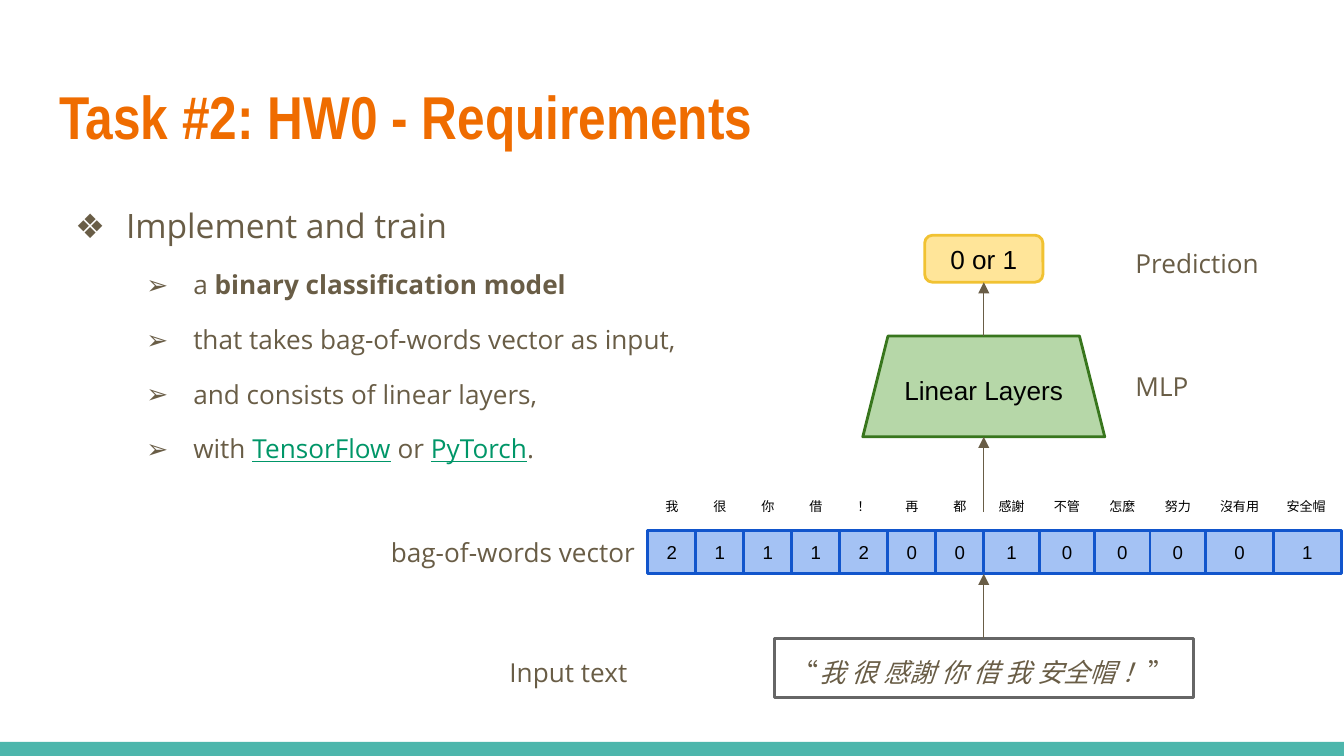
from lxml import etree
from pptx import Presentation
from pptx.dml.color import RGBColor
from pptx.enum.shapes import MSO_CONNECTOR, MSO_SHAPE
from pptx.enum.text import MSO_ANCHOR, MSO_AUTO_SIZE, PP_ALIGN
from pptx.oxml.ns import qn
from pptx.util import Inches, Pt

RECT, ROUND = MSO_SHAPE.RECTANGLE, MSO_SHAPE.ROUNDED_RECTANGLE
TRAPEZOID = MSO_SHAPE.TRAPEZOID
STRAIGHT = MSO_CONNECTOR.STRAIGHT
LEFT, CENTER = PP_ALIGN.LEFT, PP_ALIGN.CENTER
TOP, MIDDLE = MSO_ANCHOR.TOP, MSO_ANCHOR.MIDDLE
FIXED, GROW = MSO_AUTO_SIZE.NONE, MSO_AUTO_SIZE.SHAPE_TO_FIT_TEXT
BROWN, BLACK, ORANGE, GREEN = "695D46", "000000", "EF6C00", "009668"
SANS, ARIAL = "Open Sans", "Arial"
rgb = RGBColor.from_string


def write(par, text, size, font=SANS, color=BROWN, align=LEFT, spacing=1.15):
    """Add one run to a paragraph and return its font for extra styling."""
    par.alignment, par.line_spacing = align, spacing
    run = par.add_run()
    run.text = text
    run.font.size, run.font.name = Pt(size), font
    run.font.color.rgb = rgb(color)
    return run.font


def place(home, spot, kind=None, fill=None, line=None, anchor=TOP, fit=FIXED):
    """Add a shape, or a text box when no kind is given."""
    spot = [Inches(n) for n in spot]
    if kind is None:
        shape = home.add_textbox(*spot)
    else:
        shape = home.add_shape(kind, *spot)
        shape.shadow.inherit = False
        if fill:
            shape.fill.solid()
            shape.fill.fore_color.rgb = rgb(fill)
        else:
            shape.fill.background()
        if line:
            shape.line.color.rgb = rgb(line)
            shape.line.width = Pt(1.5)
        else:
            shape.line.fill.background()
    frame = shape.text_frame
    frame.word_wrap, frame.auto_size = True, fit
    frame.vertical_anchor = anchor
    frame.margin_left = frame.margin_right = Inches(0.1)
    frame.margin_top = frame.margin_bottom = Inches(0.1)
    return shape


deck = Presentation()
deck.slide_width = Inches(10)
deck.slide_height = deck.slide_width * 9 // 16
slide = deck.slides.add_slide(deck.slide_layouts[5])
shapes = slide.shapes

# Footer bar and title
place(shapes, (0, 5.52, 10, 0.11), RECT, "4DB6AC")
title = shapes.title
title.left, title.top = Inches(0.34), Inches(0.49)
title.width, title.height = Inches(9.32), Inches(0.77)
frame = title.text_frame
frame.auto_size, frame.vertical_anchor = FIXED, TOP
frame.margin_top = frame.margin_bottom = Inches(0.1)
frame.margin_left = frame.margin_right = Inches(0.1)
write(frame.paragraphs[0], "Task #2: HW0 - Requirements", 32.4,
      "Arial Narrow", ORANGE, spacing=1).bold = True

# Requirements: each run is text and style
points = [
    [("Implement and train", "")],
    [("a ", ""), ("binary classification model", "bold")],
    [("that takes bag-of-words vector as input,", "")],
    [("and consists of linear layers,", "")],
    [("with ", ""), ("TensorFlow", "link"), (" or ", ""),
     ("PyTorch", "link"), (".", "")],
]
body = place(shapes, (0.34, 1.38, 4.8, 3.61)).text_frame
for row, runs in enumerate(points):
    par = body.add_paragraph() if row else body.paragraphs[0]
    size, mark, margin, indent = (14, "➢", 1, -0.35) if row else (18, "❖", 0.5, -0.38)
    par.level = 1 if row else 0
    par.space_before = Pt(10 if row else 0)
    for text, style in runs:
        font = write(par, text, size, color=GREEN if style == "link" else BROWN)
        font.bold = style == "bold"
        font.underline = style == "link"
    props = par._p.get_or_add_pPr()
    props.set("marL", str(Inches(margin)))
    props.set("indent", str(Inches(indent)))
    tint = etree.SubElement(props, qn("a:buClr"))
    etree.SubElement(tint, qn("a:srgbClr"), val=BROWN)
    etree.SubElement(props, qn("a:buFont"), typeface=SANS)
    etree.SubElement(props, qn("a:buChar"), char=mark)

# Input sentence
source = place(shapes, (5.76, 4.75, 3.12, 0.44), RECT, line="666666", fit=GROW)
quote = source.text_frame.paragraphs[0]
for text, slant in [("“", False), ("我 很 感謝 你 借 我 安全帽 ！", True), ("”", False)]:
    write(quote, text, 14, align=CENTER).italic = slant

# Bag-of-words vector: cell width follows the word length
words = "我 很 你 借 ！ 再 都 感謝 不管 怎麼 努力 沒有用 安全帽".split()
counts = "2111200100001"
widths = {1: 2.5 / 7, 2: 1.65 / 4, 3: 1.01 / 2}
vector = shapes.add_group_shape().shapes
left = 4.82
for word, count in zip(words, counts):
    width = widths[len(word)]
    cell = place(vector, (left, 3.95, width, 0.32), RECT, "A4C2F4", "1155CC", MIDDLE)
    write(cell.text_frame.paragraphs[0], count, 10, ARIAL, BLACK, CENTER, 1)
    label = place(vector, (left, 3.65, width, 0.32), fit=GROW)
    align = LEFT if word == words[-1] else CENTER
    write(label.text_frame.paragraphs[0], word, 7, SANS, BLACK, align, 1)
    left += width

# Model and its output
model = place(shapes, (6.42, 2.5, 1.8, 0.75), TRAPEZOID, "B6D7A8", "38761D", MIDDLE)
output = place(shapes, (6.88, 1.75, 0.88, 0.35), ROUND, "FFE599", "F1C232", MIDDLE)
for shape, text in [(model, "Linear Layers"), (output, "0 or 1")]:
    write(shape.text_frame.paragraphs[0], text, 14, ARIAL, BLACK, CENTER, 1)

# Upward arrows: start, end, and the shapes they join
arrows = [(4.75, 4.27, source, None), (3.81, 3.25, None, model),
          (2.5, 2.1, model, output)]
for start, end, lower, upper in arrows:
    arrow = shapes.add_connector(STRAIGHT, Inches(7.32), Inches(start),
                                 Inches(7.32), Inches(end))
    if lower:
        arrow.begin_connect(lower, 0)
    if upper:
        arrow.end_connect(upper, 2)
    arrow.line.color.rgb = rgb(BROWN)
    arrow.line.width = Pt(0.75)
    etree.SubElement(arrow.line._get_or_add_ln(), qn("a:tailEnd"), type="triangle")
    etree.SubElement(arrow._element.spPr, qn("a:effectLst"))

# Stage names
stages = [
    ("Input text", 3.48, 4.75, 1.5, CENTER),
    ("bag-of-words vector", 2.81, 3.86, 2.17, LEFT),
    ("MLP", 8.35, 2.62, 0.67, LEFT),
    ("Prediction", 8.35, 1.71, 1.46, LEFT),
]
for text, left, top, width, align in stages:
    stage = place(shapes, (left, top, width, 0.44), fit=GROW)
    write(stage.text_frame.paragraphs[0], text, 14, align=align)

deck.save("out.pptx")
